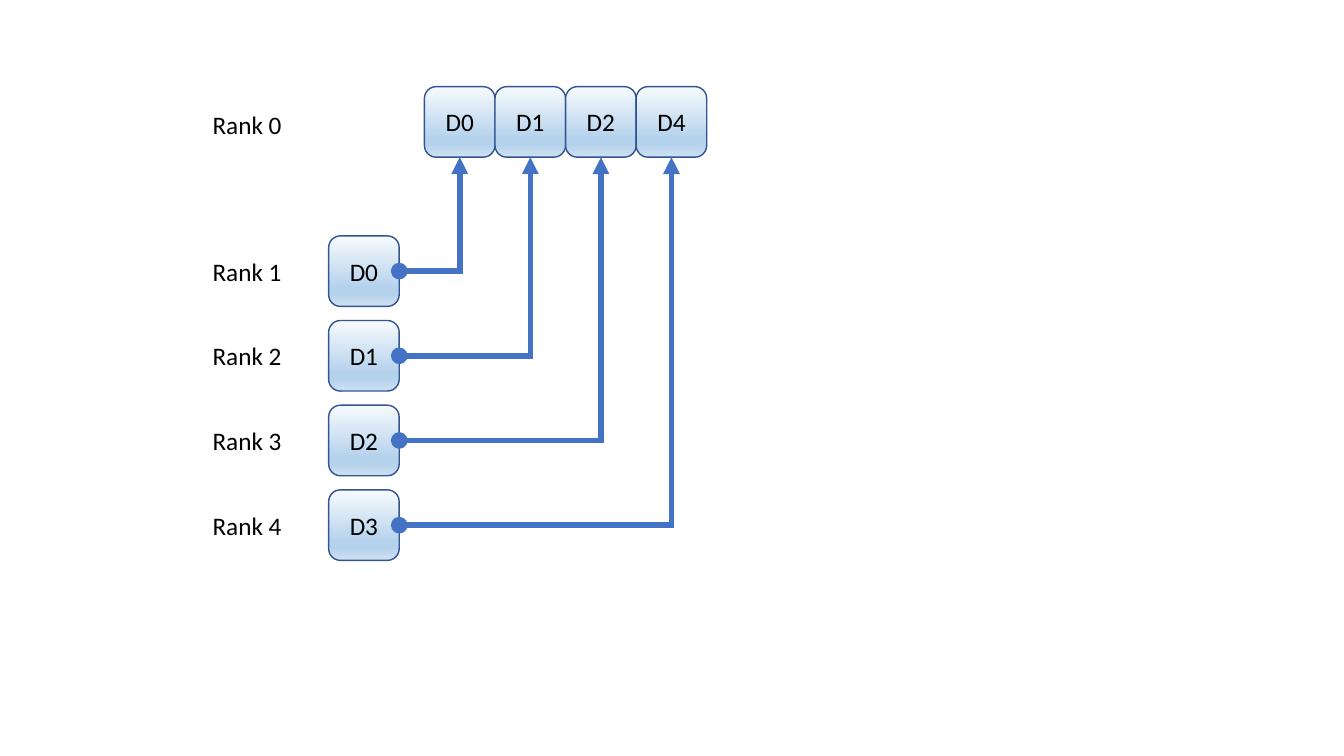
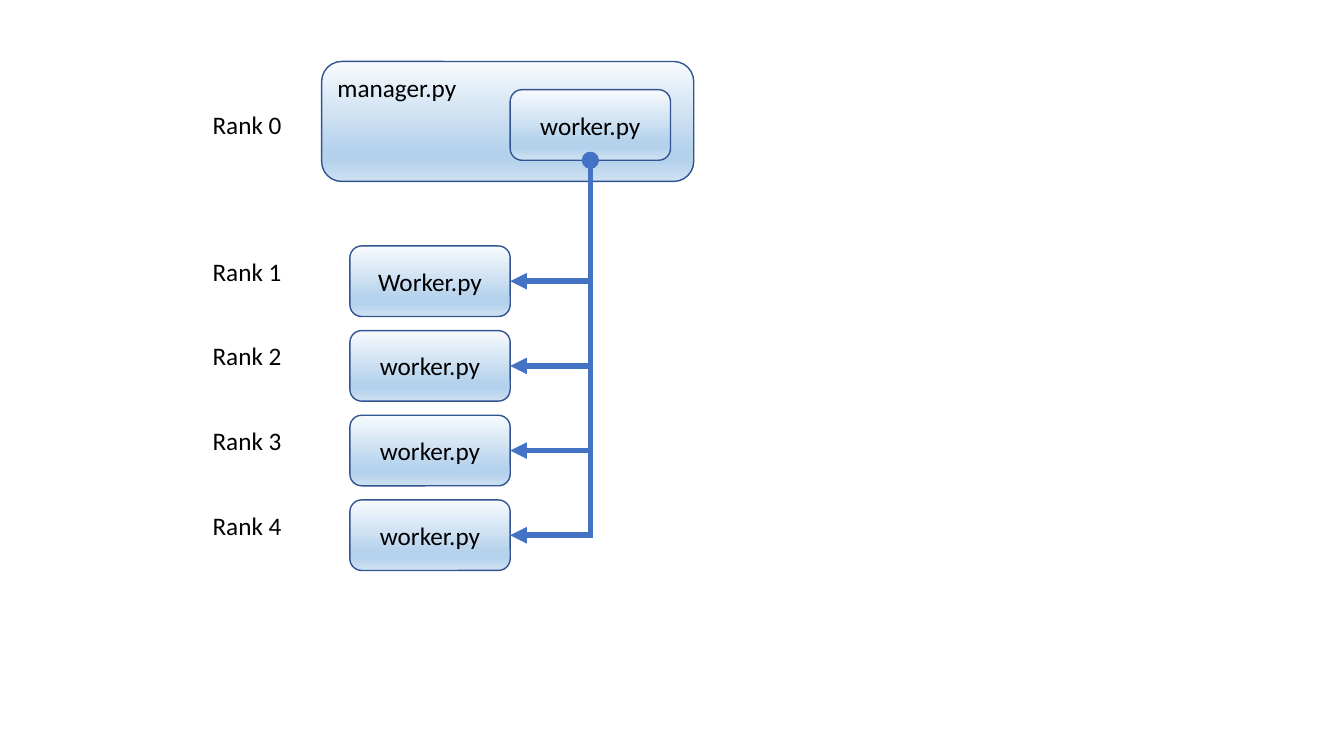
from lxml.etree import SubElement
from pptx import Presentation
from pptx.dml.color import RGBColor
from pptx.enum.shapes import MSO_CONNECTOR as Connector, MSO_SHAPE as Shape
from pptx.enum.text import MSO_ANCHOR as Anchor, MSO_AUTO_SIZE as AutoSize, PP_ALIGN as Align
from pptx.oxml.ns import qn
from pptx.util import Inches, Pt

FONT = "Calibri"
TEXT, OUTLINE, ARROW = "000000", "325491", "4472C4"
GRADIENT = [(0, "F7FAFD"), (74, "B5D2EC"), (83, "B5D2EC"), (100, "CEE1F2")]

RANKS = ["Rank 0", "Rank 1", "Rank 2", "Rank 3", "Rank 4"]
GATHERED = ["D0", "D1", "D2", "D4"]
SOURCES = ["D0", "D1", "D2", "D3"]
MANAGER = "manager.py"
MANAGER_WORKER = "worker.py"
WORKERS = ["Worker.py", "worker.py", "worker.py", "worker.py"]

SIDE = 0.7
WORKER_WIDTH = 1.59
ROW_PITCH = 0.84
BOTTOM, RIGHT = 2, 3


def color(value):
    return RGBColor.from_string(value)


def write(shape, text, align):
    frame = shape.text_frame
    frame.text = text
    para = frame.paragraphs[0]
    para.alignment = align
    font = para.runs[0].font
    font.name, font.size = FONT, Pt(18)
    font.color.rgb = color(TEXT)
    return frame


def add_box(page, text, left, top, width, height=SIDE, align=Align.CENTER, anchor=Anchor.MIDDLE):
    box = page.shapes.add_shape(Shape.ROUNDED_RECTANGLE, Inches(left), Inches(top),
                                Inches(width), Inches(height))
    box.shadow.inherit = False
    box.fill.gradient()
    box.fill.gradient_angle = 270
    stops = box.element.spPr.find(".//" + qn("a:gsLst"))
    stops.clear()
    for position, value in GRADIENT:
        stop = SubElement(stops, qn("a:gs"), pos=str(position * 1000))
        SubElement(stop, qn("a:srgbClr"), val=value)
    box.line.color.rgb = color(OUTLINE)
    box.line.width = Pt(1)
    write(box, text, align).vertical_anchor = anchor
    return box


def add_column(page, texts, left, top, width):
    return [add_box(page, text, left, top + row * ROW_PITCH, width)
            for row, text in enumerate(texts)]


def add_rank_labels(page):
    for row, text in enumerate(RANKS):
        top = 2.49 + (row - 1) * ROW_PITCH if row else 1.04
        label = page.shapes.add_textbox(Inches(2.01), Inches(top), Inches(0.89), Inches(0.4))
        frame = write(label, text, Align.LEFT)
        frame.word_wrap = False
        frame.auto_size = AutoSize.SHAPE_TO_FIT_TEXT


def add_elbow(page, upper, lower, head, tail):
    start_x, start_y = upper.left + upper.width // 2, upper.top + upper.height
    end_x, end_y = lower.left + lower.width, lower.top + lower.height // 2
    elbow = page.shapes.add_connector(Connector.ELBOW, start_x, start_y, end_x, end_y)
    elbow.begin_connect(upper, BOTTOM)
    elbow.end_connect(lower, RIGHT)

    across, down = start_x - end_x, end_y - start_y
    elbow.left = (start_x + end_x - down) // 2
    elbow.top = (start_y + end_y - across) // 2
    elbow.width, elbow.height = down, across
    properties = elbow.element.spPr
    frame = properties.find(qn("a:xfrm"))
    frame.attrib.clear()
    frame.set("rot", str(90 * 60000))
    properties.find(qn("a:prstGeom")).set("prst", "bentConnector2")

    elbow.line.color.rgb = color(ARROW)
    elbow.line.width = Pt(4)
    line = properties.find(qn("a:ln"))
    SubElement(line, qn("a:miter"), lim="800000")
    SubElement(line, qn("a:headEnd"), type=head)
    SubElement(line, qn("a:tailEnd"), type=tail)
    SubElement(properties, qn("a:effectLst"))


def build_gather(page):
    targets = [add_box(page, text, 4.21 + column * SIDE, 0.86, SIDE)
               for column, text in enumerate(GATHERED)]
    sources = add_column(page, SOURCES, 3.26, 2.34, SIDE)
    add_rank_labels(page)
    for target, source in zip(targets, sources):
        add_elbow(page, target, source, "triangle", "oval")


def build_workers(page):
    add_box(page, MANAGER, 3.19, 0.61, 3.69, 1.19, Align.LEFT, Anchor.TOP)
    hub = add_box(page, MANAGER_WORKER, 5.06, 0.89, WORKER_WIDTH)
    workers = add_column(page, WORKERS, 3.47, 2.44, WORKER_WIDTH)
    add_rank_labels(page)
    for worker in workers:
        add_elbow(page, hub, worker, "oval", "triangle")


def main():
    deck = Presentation()
    deck.slide_width, deck.slide_height = Inches(13.33), Inches(7.5)
    for build in (build_gather, build_workers):
        build(deck.slides.add_slide(deck.slide_layouts[6]))
    deck.save("out.pptx")


if __name__ == "__main__":
    main()
